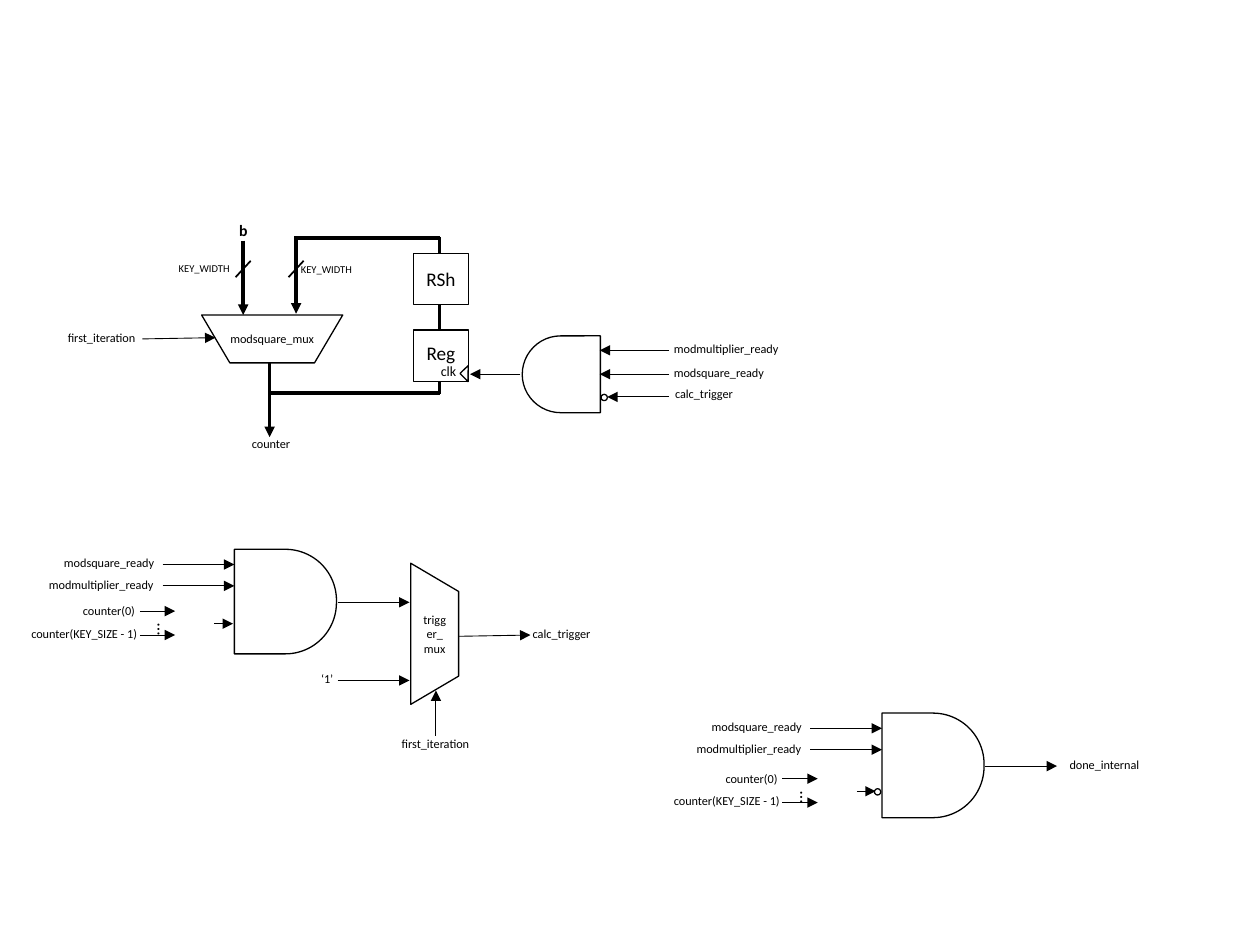
from lxml import etree
from pptx import Presentation
from pptx.dml.color import RGBColor
from pptx.enum.shapes import MSO_CONNECTOR, MSO_SHAPE
from pptx.enum.text import MSO_ANCHOR, MSO_AUTO_SIZE, PP_ALIGN
from pptx.oxml.ns import qn
from pptx.util import Inches, Pt

STRAIGHT = MSO_CONNECTOR.STRAIGHT
RECT = MSO_SHAPE.RECTANGLE
OVAL = MSO_SHAPE.OVAL
TRIANGLE = MSO_SHAPE.RIGHT_TRIANGLE
TRAPEZOID = MSO_SHAPE.FLOWCHART_MANUAL_OPERATION
ROUND_TOP = MSO_SHAPE.ROUND_2_SAME_RECTANGLE
MIDDLE = MSO_ANCHOR.MIDDLE
CENTER = PP_ALIGN.CENTER
GROW = MSO_AUTO_SIZE.SHAPE_TO_FIT_TEXT

COLORS = {"ink": "000000", "paper": "FFFFFF"}
FONT = "Calibri"
BUS = 2  # width in points of a multi-bit line


def rgb(name):
    return RGBColor.from_string(COLORS[name])


def write_text(frame, text, size=7, bold=False, align=None, vertical=False):
    """Put one formatted paragraph into a text frame."""
    paragraph = frame.paragraphs[0]
    if align is not None:
        paragraph.alignment = align
    run = paragraph.add_run()
    run.text = text
    run.font.name = FONT
    run.font.size = Pt(size)
    run.font.bold = bold
    run.font.color.rgb = rgb("ink")
    if vertical:
        frame._txBody.bodyPr.set("vert", "vert")


class Circuit:
    """Draws circuit parts on one slide."""

    def __init__(self, slide):
        self.shapes = slide.shapes

    def label(self, text, x, y, w, h=0.22, wrap=False, **style):
        box = self.shapes.add_textbox(Inches(x), Inches(y), Inches(w), Inches(h))
        frame = box.text_frame
        frame.word_wrap = wrap
        frame.auto_size = GROW
        write_text(frame, text, **style)

    def wire(self, x1, y1, x2, y2, width=0.5, arrow=True):
        line = self.shapes.add_connector(
            STRAIGHT, Inches(x1), Inches(y1), Inches(x2), Inches(y2))
        line.line.color.rgb = rgb("ink")
        line.line.width = Pt(width)
        properties = line._element.spPr
        if arrow:
            outline = properties.find(qn("a:ln"))
            etree.SubElement(outline, qn("a:tailEnd"), type="triangle")
        etree.SubElement(properties, qn("a:effectLst"))

    def block(self, kind, x, y, w, h, text="", rotation=0, flip=False,
              insets=(0.1, 0.05, 0.1, 0.05), **style):
        shape = self.shapes.add_shape(
            kind, Inches(x), Inches(y), Inches(w), Inches(h))
        shape.shadow.inherit = False
        shape.fill.solid()
        shape.fill.fore_color.rgb = rgb("paper")
        shape.line.color.rgb = rgb("ink")
        shape.line.width = Pt(0.75)
        shape.rotation = rotation
        if flip:
            shape._element.spPr.xfrm.set("flipH", "1")
        if text:
            frame = shape.text_frame
            frame.word_wrap = True
            frame.vertical_anchor = MIDDLE
            (frame.margin_left, frame.margin_top,
             frame.margin_right, frame.margin_bottom) = map(Inches, insets)
            write_text(frame, text, align=CENTER, **style)
        return shape

    def mux(self, text, x, y, **options):
        self.block(TRAPEZOID, x, y, 1.12, 0.38, text,
                   insets=(0, 0.05, 0, 0.05), **options)

    def and_gate(self, x, y, w, h, rotation):
        gate = self.block(ROUND_TOP, x, y, w, h, rotation=rotation)
        gate.adjustments[0] = 0.5
        gate.adjustments[1] = 0

    def inverter(self, x, y):
        self.block(OVAL, x, y, 0.05, 0.05)

    def bus_input(self, x, top, label_x, label_y):
        """Thick arrow with a slash and its bit width."""
        self.wire(x, top, x, top + 0.59, BUS)
        self.wire(x - 0.06, 2.2, x + 0.06, 2.07, 1, arrow=False)
        self.label("KEY_WIDTH", label_x, label_y, 0.63, 0.2, wrap=True, size=6)

    def counter_inputs(self, x, y):
        """Counter bits, first to last, that feed one gate input."""
        for dy in (0, 0.19):
            self.wire(x + 0.96, y + 0.11 + dy, x + 1.24, y + 0.11 + dy)
        self.label("counter(0)", x + 0.41, y, 0.65)
        self.label("…", x + 0.92, y + 0.11, 0.37, 0.2, size=10, vertical=True)
        self.label("counter(KEY_SIZE - 1)", x, y + 0.18, 1.06)
        self.wire(x + 1.55, y + 0.21, x + 1.7, y + 0.21)

    def ready_gate(self, x, y):
        """AND gate with its two ready inputs and its output."""
        self.and_gate(x, y, 0.83, 0.81, 90)
        for text, dx, dy, w in (("modsquare_ready", -1.44, 0.11, 0.93),
                                ("modmultiplier_ready", -1.56, 0.28, 1.05)):
            self.wire(x - 0.56, y + dy, x + 0.01, y + dy)
            self.label(text, x + dx, y + dy - 0.12, w)
        self.wire(x + 0.83, y + 0.41, x + 1.4, y + 0.41)


def draw_counter(c):
    # Multiplexer and its inputs
    c.mux("modsquare_mux", 1.6, 2.5)
    c.wire(1.13, 2.69, 1.71, 2.68)
    c.label("first_iteration", 0.44, 2.57, 0.76)
    c.bus_input(1.93, 1.91, 1.32, 2.03)
    c.label("b", 1.8, 1.7, 0.27, 0.25, size=9, bold=True)
    c.bus_input(2.35, 1.9, 2.29, 2.04)

    # Output and feedback loop
    c.wire(2.14, 2.88, 2.14, 3.47, BUS)
    c.label("counter", 1.9, 3.41, 0.52)
    for ends in ((3.49, 3.12, 2.14, 3.12), (3.49, 1.88, 3.49, 3.13),
                 (3.49, 1.89, 2.33, 1.89)):
        c.wire(*ends, BUS, arrow=False)

    # Register, shifter and clock
    c.block(RECT, 3.28, 2.62, 0.44, 0.41, "Reg", size=11,
            insets=(0.1, 0, 0.1, 0.05))
    c.block(RECT, 3.28, 2.01, 0.44, 0.41, "RSh", size=11)
    c.block(TRIANGLE, 3.67, 2.92, 0.09, 0.09, rotation=135.9, flip=True)
    c.label("clk", 3.4, 2.83, 0.35, 0.24, wrap=True, size=8)
    c.wire(4.13, 2.97, 3.73, 2.97)

    # Clock gate and its inputs
    c.and_gate(4.15, 2.66, 0.61, 0.62, 270)
    c.inverter(4.77, 3.13)
    for text, x, y, w, wire_y, tip in (
            ("modmultiplier_ready", 5.25, 2.66, 1.05, 2.78, 4.76),
            ("modsquare_ready", 5.25, 2.85, 0.93, 2.97, 4.76),
            ("calc_trigger", 5.26, 3.02, 0.67, 3.15, 4.82)):
        c.wire(5.31, wire_y, tip, wire_y)
        c.label(text, x, y, w)


def draw_trigger(c):
    c.counter_inputs(0.15, 4.74)
    c.ready_gate(1.85, 4.37)
    c.mux("trigger_mux", 2.89, 4.84, rotation=270, vertical=True)
    c.wire(2.68, 5.4, 3.25, 5.4)
    c.label("‘1’", 2.45, 5.28, 0.3)
    c.wire(3.64, 5.05, 4.21, 5.04)
    c.label("calc_trigger", 4.13, 4.92, 0.67)
    c.wire(3.46, 5.84, 3.46, 5.48)
    c.label("first_iteration", 3.09, 5.79, 0.76)


def draw_done(c):
    c.counter_inputs(5.25, 6.07)
    c.ready_gate(6.99, 5.67)
    c.inverter(6.94, 6.26)
    c.label("done_internal", 8.39, 5.96, 0.77)


def main():
    deck = Presentation()
    deck.slide_width, deck.slide_height = Inches(10), Inches(7.5)
    circuit = Circuit(deck.slides.add_slide(deck.slide_layouts[6]))
    draw_counter(circuit)
    draw_trigger(circuit)
    draw_done(circuit)
    deck.save("out.pptx")


if __name__ == "__main__":
    main()
